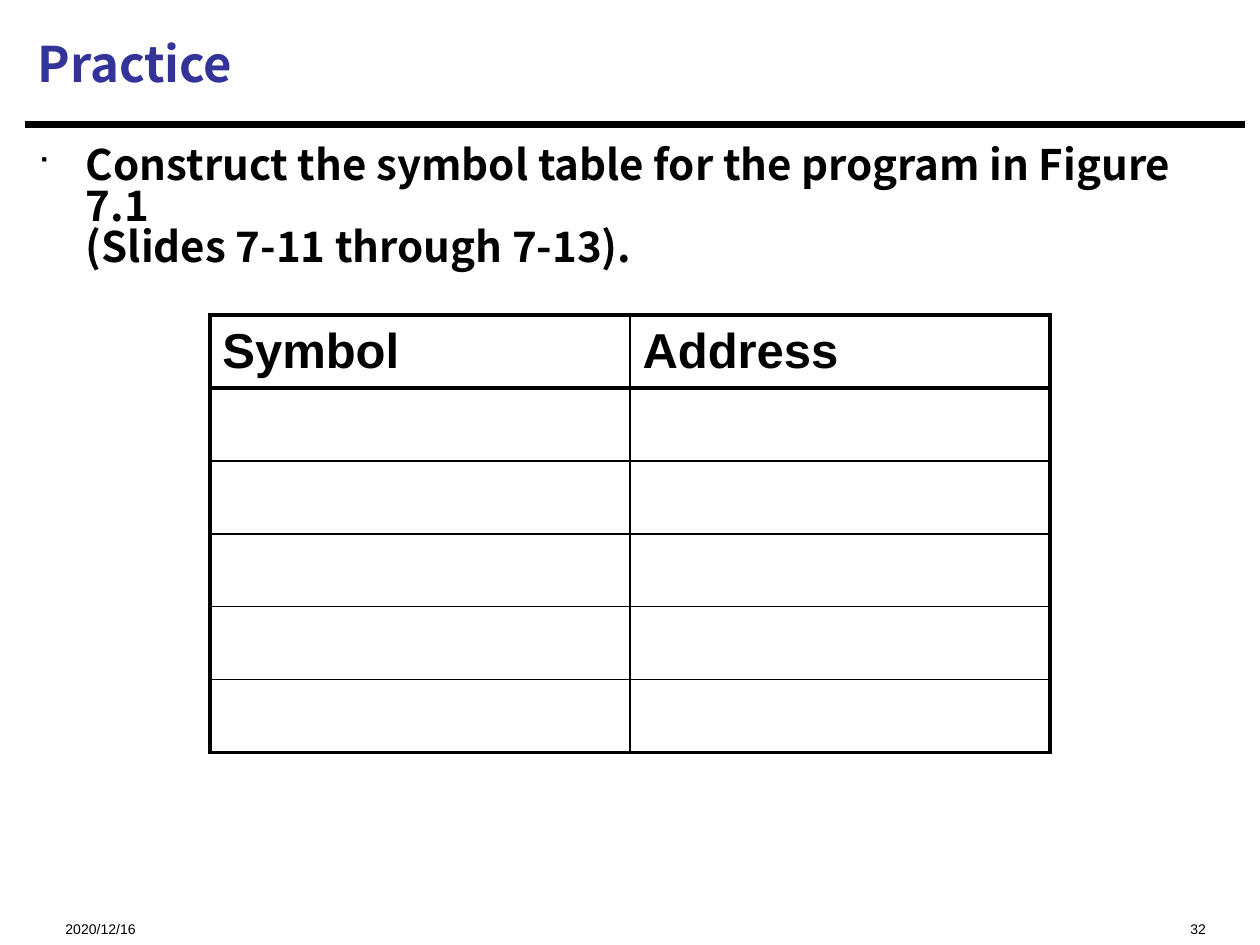
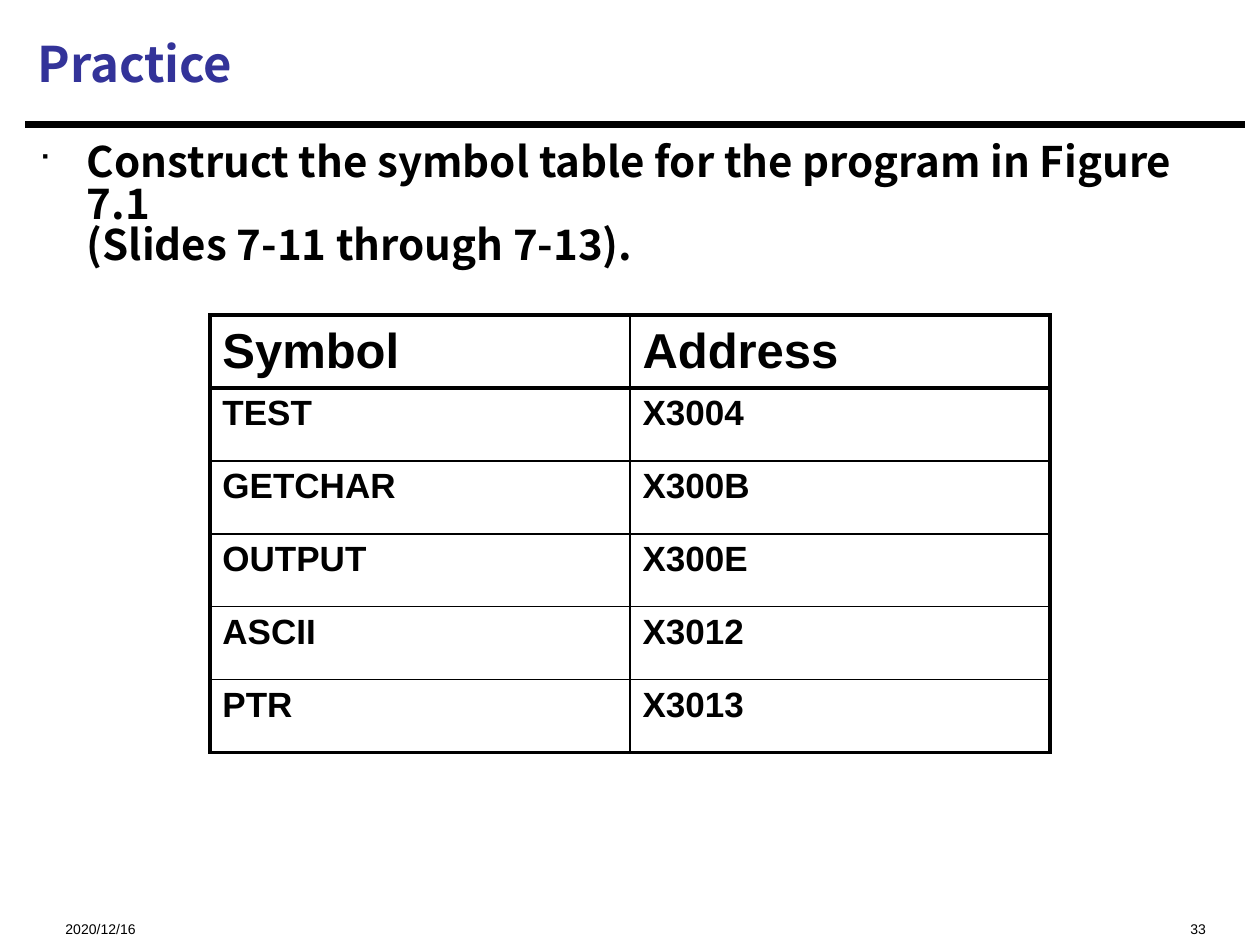
from dataclasses import dataclass

from lxml import etree
from pptx import Presentation
from pptx import util as u
from pptx.dml.color import RGBColor
from pptx.enum import shapes, text
from pptx.oxml import ns

# Content
TITLE = "Practice"
DATE = "2020/12/16"
TASK = ("Construct the symbol table for the program in Figure 7.1\n"
        "(Slides 7-11 through 7-13).")
HEAD = ("Symbol", "Address")
BLANK = [("", "")] * 5
SOLVED = [
    ("TEST", "X3004"),
    ("GETCHAR", "X300B"),
    ("OUTPUT", "X300E"),
    ("ASCII", "X3012"),
    ("PTR", "X3013"),
]
PAGES = [
    dict(num="32", task=(0.51, 2.72), rows=BLANK),
    dict(num="33", task=(0.53, 2.67), rows=SOLVED),
]


@dataclass(frozen=True)
class Theme:
    ink: str = "000000"
    blue: str = "333399"
    sans: str = "Arial"
    bold: str = "Noto Sans CJK SC"
    title: float = 28
    task: float = 24
    head: float = 28
    cell: float = 20
    foot: float = 8
    rule: float = 3.75
    thick: float = 2.25
    thin: float = 1


T = Theme()
WIDE, HIGH = 25.4, 19.05
LEFT, SPAN = 0.51, 24.56
INDENT = 0.97
COL, ROW = 8.47, 1.47


def write(frame, words, size, font=T.sans, color=T.ink, bold=False,
          align=None, anchor=text.MSO_ANCHOR.TOP, top=None, line=None):
    """Fill a text frame with one formatted paragraph."""
    frame.word_wrap = True
    frame.vertical_anchor = anchor
    if top is not None:
        frame.margin_top, frame.margin_bottom = u.Cm(top), 0
    para = frame.paragraphs[0]
    para.text = words
    para.alignment = align
    para.line_spacing = line
    for run in para.runs:
        run.font.size = u.Pt(size)
        run.font.name = font
        run.font.bold = bold
        run.font.color.rgb = RGBColor.from_string(color)
    return para


def add_box(slide, x, y, w, h, words, size, **form):
    box = slide.shapes.add_textbox(u.Cm(x), u.Cm(y), u.Cm(w), u.Cm(h))
    return write(box.text_frame, words, size, **form)


def add_bullet(para):
    props = para._p.get_or_add_pPr()
    props.set("marL", str(u.Cm(INDENT)))
    props.set("indent", str(-u.Cm(INDENT)))
    for tag, key, val in (("a:buSzPct", "val", "70000"),
                          ("a:buFont", "typeface", "Wingdings"),
                          ("a:buChar", "char", "■")):
        etree.SubElement(props, ns.qn(tag)).set(key, val)


def add_edges(cell, **widths):
    props = cell._tc.get_or_add_tcPr()
    for side, width in widths.items():
        edge = etree.SubElement(props, ns.qn("a:ln" + side), w=str(u.Pt(width)))
        fill = etree.SubElement(edge, ns.qn("a:solidFill"))
        etree.SubElement(fill, ns.qn("a:srgbClr"), val=T.ink)


def add_frame(slide, num):
    """Draw the rule, footer and title that every slide shares."""
    rule = slide.shapes.add_connector(
        shapes.MSO_CONNECTOR.STRAIGHT,
        u.Cm(LEFT), u.Cm(2.51), u.Cm(25.1), u.Cm(2.51))
    rule.line.width = u.Pt(T.rule)
    rule.line.color.rgb = RGBColor.from_string(T.ink)
    etree.SubElement(rule._element.spPr, ns.qn("a:effectLst"))
    add_box(slide, 1.07, 18.16, 6.35, 0.69, DATE, T.foot, top=0.46)
    add_box(slide, 16.94, 18.16, 7.62, 0.69, num, T.foot, top=0.46,
            align=text.PP_ALIGN.RIGHT)
    add_box(slide, LEFT, 0.2, SPAN, 2.13, TITLE, T.title, font=T.bold,
            color=T.blue, bold=True, anchor=text.MSO_ANCHOR.MIDDLE)


def add_grid(slide, rows):
    """Draw the symbol table: thick outline and head, thin inner lines."""
    data = [HEAD, *rows]
    down, across = len(data), len(HEAD)
    grid = slide.shapes.add_table(
        down, across, u.Cm((WIDE - across * COL) / 2), u.Cm(6.35),
        u.Cm(across * COL), u.Cm(down * ROW)).table
    grid.first_row = grid.horz_banding = False
    for r, items in enumerate(data):
        for c, item in enumerate(items):
            cell = grid.cell(r, c)
            add_edges(cell,
                      L=T.thick if c == 0 else T.thin,
                      R=T.thick if c == across - 1 else T.thin,
                      T=T.thick if r < 2 else T.thin,
                      B=T.thick if r in (0, down - 1) else T.thin)
            cell.fill.background()
            write(cell.text_frame, item, T.cell if r else T.head, bold=True)
            if r == 0:
                cell.vertical_anchor = text.MSO_ANCHOR.MIDDLE


def main():
    deck = Presentation()
    deck.slide_width, deck.slide_height = u.Cm(WIDE), u.Cm(HIGH)
    for page in PAGES:
        slide = deck.slides.add_slide(deck.slide_layouts[6])
        add_frame(slide, page["num"])
        para = add_box(slide, *page["task"], SPAN, 15.21, TASK, T.task,
                       font=T.bold, bold=True, top=0.25, line=0.82)
        add_bullet(para)
        add_grid(slide, page["rows"])
    deck.save("out.pptx")


if __name__ == "__main__":
    main()
